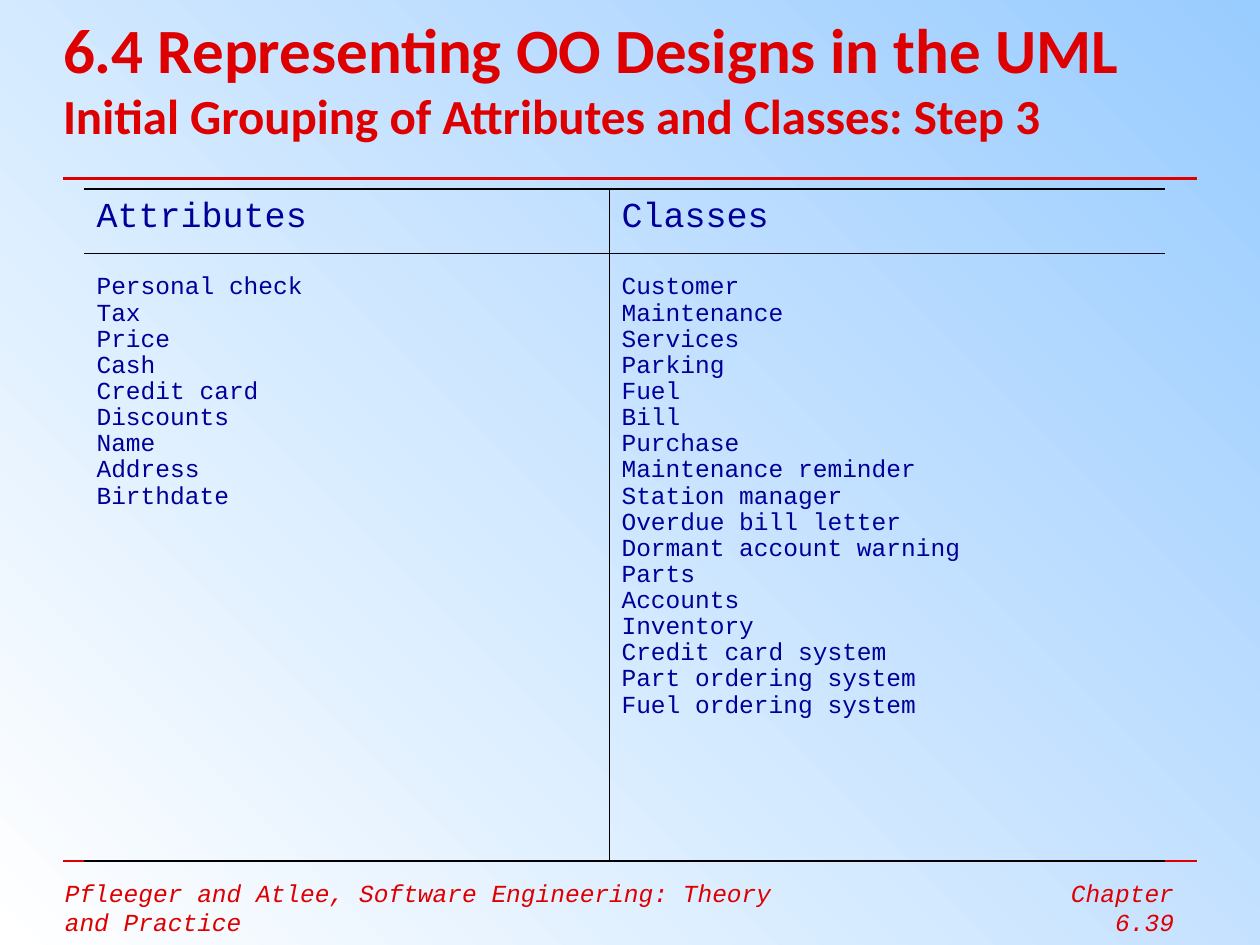
from lxml import etree
from pptx import Presentation
from pptx.dml.color import RGBColor
from pptx.enum import shapes, text
from pptx.oxml.ns import qn
from pptx.util import Inches, Pt

COLORS = {"sky": "99CCFF", "white": "FFFFFF", "red": "DE0000",
          "navy": "000099", "black": "000000"}
NO_GRID_STYLE = "{2D5ABB26-0587-4C30-8999-92F81FD0307C}"

ATTRIBUTES = ["Personal check", "Tax", "Price", "Cash", "Credit card",
              "Discounts", "Name", "Address", "Birthdate"]
CLASSES = ["Customer", "Maintenance", "Services", "Parking", "Fuel", "Bill",
           "Purchase", "Maintenance reminder", "Station manager",
           "Overdue bill letter", "Dormant account warning", "Parts",
           "Accounts", "Inventory", "Credit card system",
           "Part ordering system", "Fuel ordering system"]


def grid(*units):
    """Grid units to lengths: the slide is 120 columns by 90 rows."""
    return [Inches(unit / 12) for unit in units]


def color(name):
    return RGBColor.from_string(COLORS[name])


def style_runs(paragraph, face, size, ink, bold=False, italic=False):
    for run in paragraph.runs:
        run.font.name, run.font.size = face, Pt(size)
        run.font.bold, run.font.italic = bold, italic
        run.font.color.rgb = color(ink)


def paint_background(slide):
    fill = slide.background.fill
    fill.gradient()
    fill.gradient_angle = 225
    for stop, name in zip(fill.gradient_stops, ("sky", "white")):
        stop.color.rgb = color(name)


def add_rule(slide, box, width):
    left, top, right, bottom = grid(*box)
    rule = slide.shapes.add_connector(
        shapes.MSO_CONNECTOR.STRAIGHT, left, top, right, bottom)
    rule.line.color.rgb = color("red")
    rule.line.width = Pt(width)
    properties = rule._element.spPr
    etree.SubElement(properties, qn("a:effectLst"))


def add_title(slide, box, heading, subheading):
    frame = slide.shapes.add_textbox(*grid(*box)).text_frame
    frame.word_wrap = True
    frame.vertical_anchor = text.MSO_ANCHOR.MIDDLE
    frame.margin_left = frame.margin_right = 0
    frame.margin_top = frame.margin_bottom = 0
    title = frame.paragraphs[0]
    title.text = heading + "\v" + subheading
    style_runs(title, "Calibri", 36, "red", bold=True)
    title.runs[1].font.size = Pt(28)


def add_footer(slide, box, wording, alignment):
    frame = slide.shapes.add_textbox(*grid(*box)).text_frame
    frame.word_wrap = True
    frame.text = wording
    frame.paragraphs[0].alignment = alignment
    style_runs(frame.paragraphs[0], "Courier New", 14, "red", italic=True)


def set_borders(cell, widths):
    """Widths in points by side; zero hides that side."""
    properties = cell._tc.get_or_add_tcPr()
    for side in "LRTB":
        width = widths.get(side, 0)
        line = etree.SubElement(properties, qn("a:ln" + side), w=str(Pt(width)))
        if width:
            solid = etree.SubElement(line, qn("a:solidFill"))
            etree.SubElement(solid, qn("a:srgbClr"), val=COLORS["black"])
        else:
            etree.SubElement(line, qn("a:noFill"))


def fill_cell(cell, lines, size):
    cell.text_frame.text = "\n".join(lines)
    for paragraph in cell.text_frame.paragraphs:
        paragraph.line_spacing = 0.5
        paragraph.space_before = Pt(7)
        style_runs(paragraph, "Courier New", size, "navy")


def add_grouping_table(slide, box, columns, rows, groups):
    table = slide.shapes.add_table(2, len(groups), *grid(*box)).table
    table.first_row = table.horz_banding = False
    table._tbl.tblPr.find(qn("a:tableStyleId")).text = NO_GRID_STYLE
    for column, width in zip(table.columns, grid(*columns)):
        column.width = width
    for row, height in zip(table.rows, grid(*rows)):
        row.height = height

    for index, (heading, members) in enumerate(groups.items()):
        header, body = table.cell(0, index), table.cell(1, index)
        divider = "L" if index else "R"
        for cell in (header, body):
            set_borders(cell, {"T": 1.08, "B": 1.08, divider: 0.45})
            cell.fill.background()
        fill_cell(header, [heading], 20)
        header.vertical_anchor = text.MSO_ANCHOR.MIDDLE
        fill_cell(body, members, 14)
        body.margin_top = Inches(0.24)


def main():
    deck = Presentation()
    deck.slide_width, deck.slide_height = grid(120, 90)
    slide = deck.slides.add_slide(deck.slide_layouts[6])
    paint_background(slide)

    # Footer and rules
    add_footer(slide, (5, 83, 72, 4),
               "Pfleeger and Atlee, Software Engineering: Theory and Practice",
               text.PP_ALIGN.LEFT)
    add_rule(slide, (6, 82, 114, 82), 0.75)
    add_rule(slide, (6, 17, 114, 17), 1.5)
    add_footer(slide, (94, 83, 19, 4), "Chapter 6.39", text.PP_ALIGN.RIGHT)

    # Title
    add_title(slide, (6, 0, 111, 14.75),
              "6.4 Representing OO Designs in the UML",
              "Initial Grouping of Attributes and Classes: Step 3")

    # Attributes and classes
    add_grouping_table(slide, (8, 18, 103, 64), (50, 53), (6.15, 57.85),
                       {"Attributes": ATTRIBUTES, "Classes": CLASSES})
    deck.save("out.pptx")


if __name__ == "__main__":
    main()
